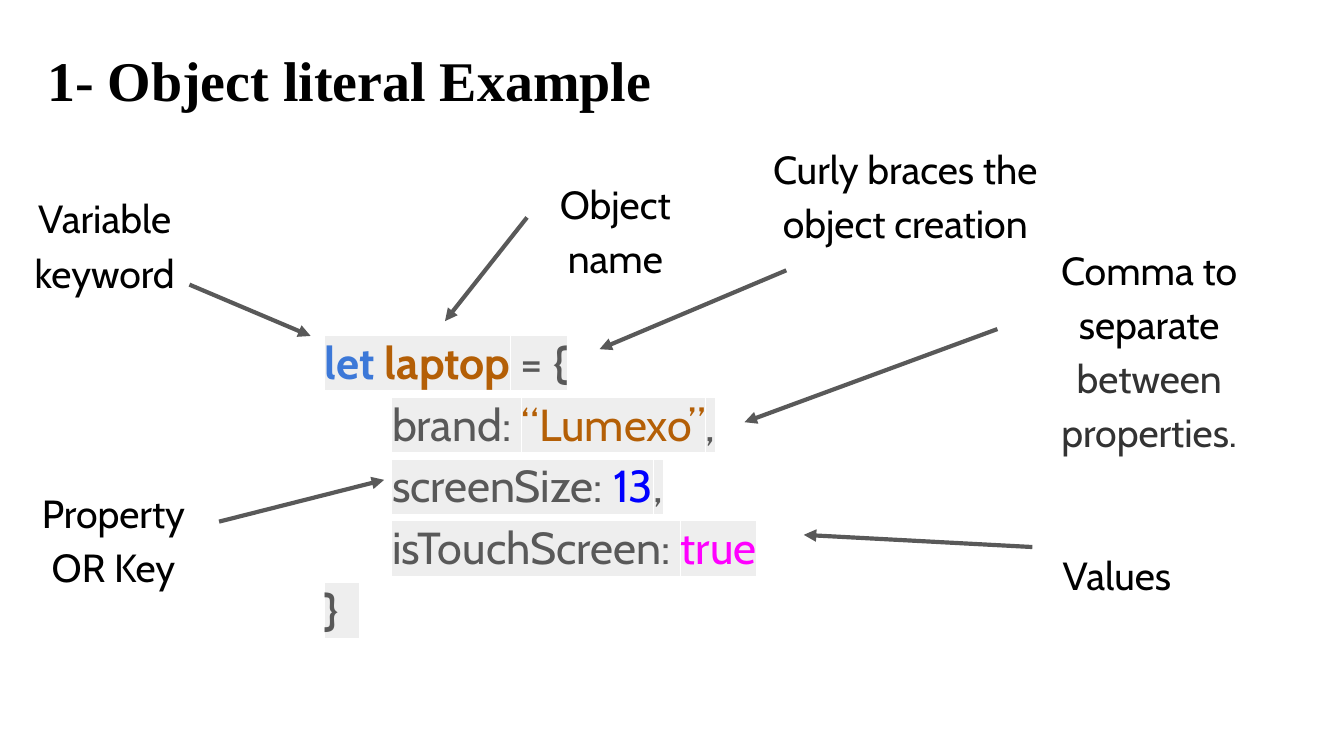
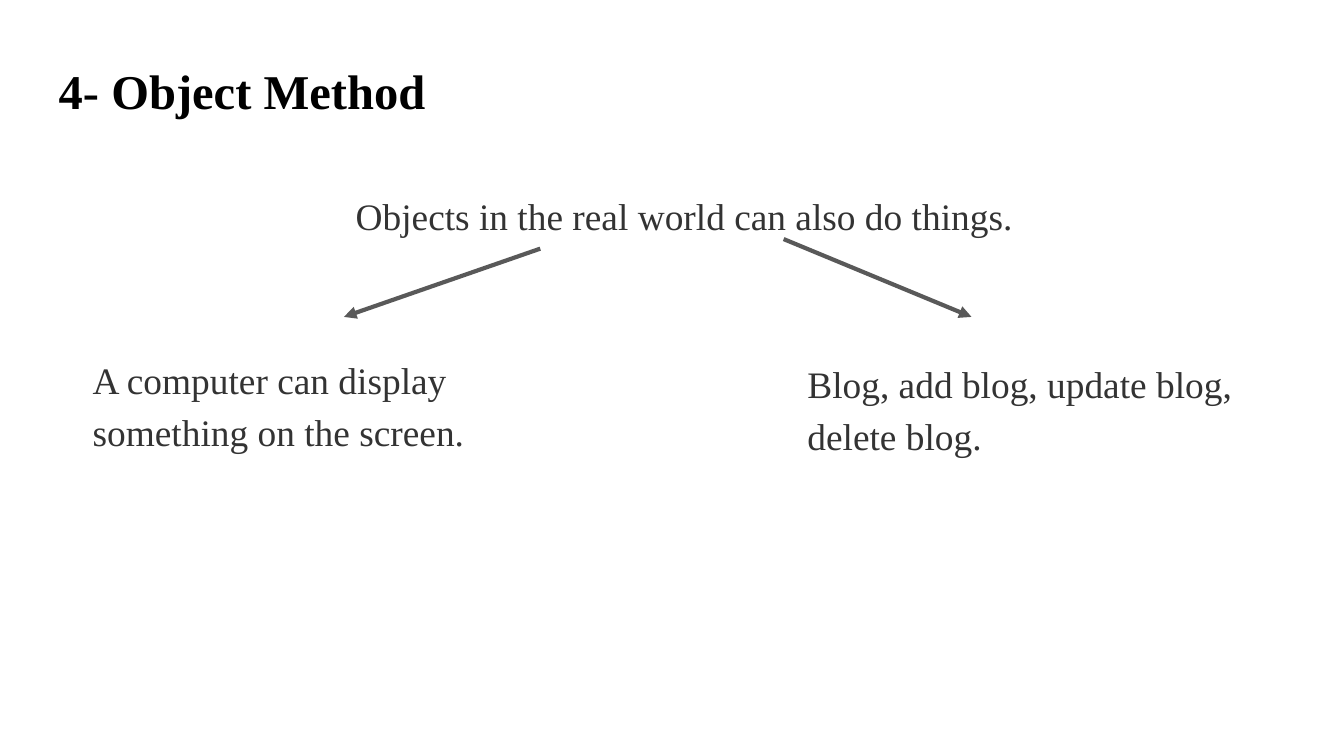
"""Build two slides on objects in code: the literal and the method."""
from typing import NamedTuple

from lxml import etree
from pptx import Presentation
from pptx.dml.color import RGBColor
from pptx.enum.shapes import MSO_CONNECTOR
from pptx.enum.text import MSO_ANCHOR, MSO_AUTO_SIZE, PP_ALIGN
from pptx.oxml.ns import qn
from pptx.util import Cm, Pt

LEFT, CENTER = PP_ALIGN.LEFT, PP_ALIGN.CENTER
TOP, FIXED = MSO_ANCHOR.TOP, MSO_AUTO_SIZE.NONE
STRAIGHT = MSO_CONNECTOR.STRAIGHT
SERIF, SANS = "Times New Roman", "Cabin"
BLACK, DARK, GREY, PALE = "000000", "333333", "595959", "EEEEEE"
BLUE, BROWN, NAVY, PINK = "3C78D8", "B45F06", "0000FF", "FF00FF"
INSET, INDENT = Cm(0.25), Cm(1.27)
TITLE_ONLY = 5


class Run(NamedTuple):
    text: str
    color: str = GREY
    bold: bool = False


class Line(NamedTuple):
    runs: list[Run]
    indent: bool = False


class Box(NamedTuple):
    left: float
    top: float
    width: float
    height: float


class Label(NamedTuple):
    box: Box
    runs: list[Run]
    align: PP_ALIGN = CENTER


class Arrow(NamedTuple):
    x1: float
    y1: float
    x2: float
    y2: float


LABELS = [
    Label(Box(0.15, 3.3, 3.66, 1.98), [Run("Variable keyword", BLACK)]),
    Label(Box(9.8, 3.02, 3.66, 1.98), [Run("Object name", BLACK)]),
    Label(Box(14.33, 2.36, 5.56, 3.25), [Run("Curly braces the object creation", BLACK)]),
    Label(Box(0.15, 8.86, 3.99, 1.98), [Run("Property OR Key", BLACK)]),
    Label(Box(19.28, 10.03, 3.66, 1.6), [Run("Values", BLACK)]),
    Label(Box(18.85, 4.27, 5.74, 4.37),
          [Run("Comma to separate ", BLACK), Run("between properties.", DARK)]),
]
CODE = [
    Line([Run("let", BLUE, True), Run(" ", BLUE, True), Run("laptop", BROWN, True),
          Run(" = "), Run("{", bold=True)]),
    Line([Run("brand: "), Run("“Lumexo”", BROWN), Run(",")], True),
    Line([Run("screenSize: "), Run("13", NAVY), Run(",")], True),
    Line([Run("isTouchScreen: "), Run("true", PINK)], True),
    Line([Run("}", bold=True), Run("  ")]),
]
POINTERS = [
    Arrow(3.58, 5.38, 5.87, 6.35),
    Arrow(9.96, 4.11, 8.41, 6.07),
    Arrow(14.86, 5.11, 11.33, 6.6),
    Arrow(4.14, 9.86, 7.26, 9.07),
    Arrow(19.51, 10.34, 15.19, 10.11),
    Arrow(18.85, 6.22, 14.07, 7.98),
]
NOTES = [
    Label(Box(1.19, 3.28, 23.67, 6.53),
          [Run("Objects in the real world can also do things. ", DARK)]),
    Label(Box(1.5, 6.38, 9.53, 2.82),
          [Run("A computer can display something on the screen.", DARK)], LEFT),
    Label(Box(15.01, 6.45, 9.53, 2.64),
          [Run("Blog, add blog, update blog, delete blog.", DARK)], LEFT),
]
BRANCHES = [Arrow(10.21, 4.7, 6.5, 5.99), Arrow(14.81, 4.52, 18.36, 5.99)]


def paint(fill, color: str) -> None:
    """Give a fill one solid colour."""
    fill.solid()
    fill.fore_color.rgb = RGBColor.from_string(color)


def mark(font, color: str) -> None:
    """Highlight a run behind its text."""
    tag = etree.Element(qn("a:highlight"))
    etree.SubElement(tag, qn("a:srgbClr"), val=color)
    font._element.find(qn("a:solidFill")).addnext(tag)


def write(shape, lines: list[Line], *, size: float, face: str = SANS,
          align: PP_ALIGN = LEFT, space: float = 1.15, back: str = "") -> None:
    """Fill a shape with formatted lines of text."""
    frame = shape.text_frame
    frame.word_wrap = True
    frame.auto_size = FIXED
    frame.vertical_anchor = TOP
    frame.margin_left = frame.margin_right = INSET
    frame.margin_top = frame.margin_bottom = INSET
    for i, line in enumerate(lines):
        para = frame.add_paragraph() if i else frame.paragraphs[0]
        para.alignment = align
        para.line_spacing = space
        if line.indent:
            para._p.get_or_add_pPr().set("indent", str(INDENT))
        for part in line.runs:
            run = para.add_run()
            run.text = part.text
            run.font.size = Pt(size)
            run.font.bold = part.bold
            paint(run.font.fill, part.color)
            if back:
                mark(run.font, back)
            run.font.name = face


def add_box(slide, box: Box):
    """Add an empty text box."""
    return slide.shapes.add_textbox(*map(Cm, box))


def add_label(slide, label: Label, size: float, face: str) -> None:
    """Add a text box with one paragraph."""
    write(add_box(slide, label.box), [Line(label.runs)], size=size, face=face,
          align=label.align)


def add_arrow(slide, arrow: Arrow) -> None:
    """Add a grey line with a head at its end."""
    link = slide.shapes.add_connector(STRAIGHT, *map(Cm, arrow))
    link.line.width = Pt(2.25)
    paint(link.line.fill, GREY)
    etree.SubElement(link.line._get_or_add_ln(), qn("a:tailEnd"), type="triangle")
    etree.SubElement(link._element.spPr, qn("a:effectLst"))


def add_slide(deck, title: str, left: float, top: float, size: float):
    """Add a slide with its title set in place."""
    slide = deck.slides.add_slide(deck.slide_layouts[TITLE_ONLY])
    head = slide.shapes.title
    head.left, head.top, head.width, head.height = map(Cm, (left, top, 23.67, 1.6))
    write(head, [Line([Run(title, BLACK, True)])], size=size, face=SERIF, space=1.1)
    return slide


def main() -> None:
    """Build and save the deck."""
    deck = Presentation()
    deck.slide_width, deck.slide_height = Cm(25.4), Cm(14.29)

    slide = add_slide(deck, "1- Object literal Example", 0.64, 0.48, 30)
    write(add_box(slide, Box(5.89, 5.92, 11.3, 7.67)), CODE, size=24, back=PALE)
    for label in LABELS:
        add_label(slide, label, 21, SANS)
    for arrow in POINTERS:
        add_arrow(slide, arrow)

    slide = add_slide(deck, "4- Object Method", 0.86, 0.79, 26)
    for label in NOTES:
        add_label(slide, label, 20, SERIF)
    for arrow in BRANCHES:
        add_arrow(slide, arrow)

    deck.save("out.pptx")


if __name__ == "__main__":
    main()
